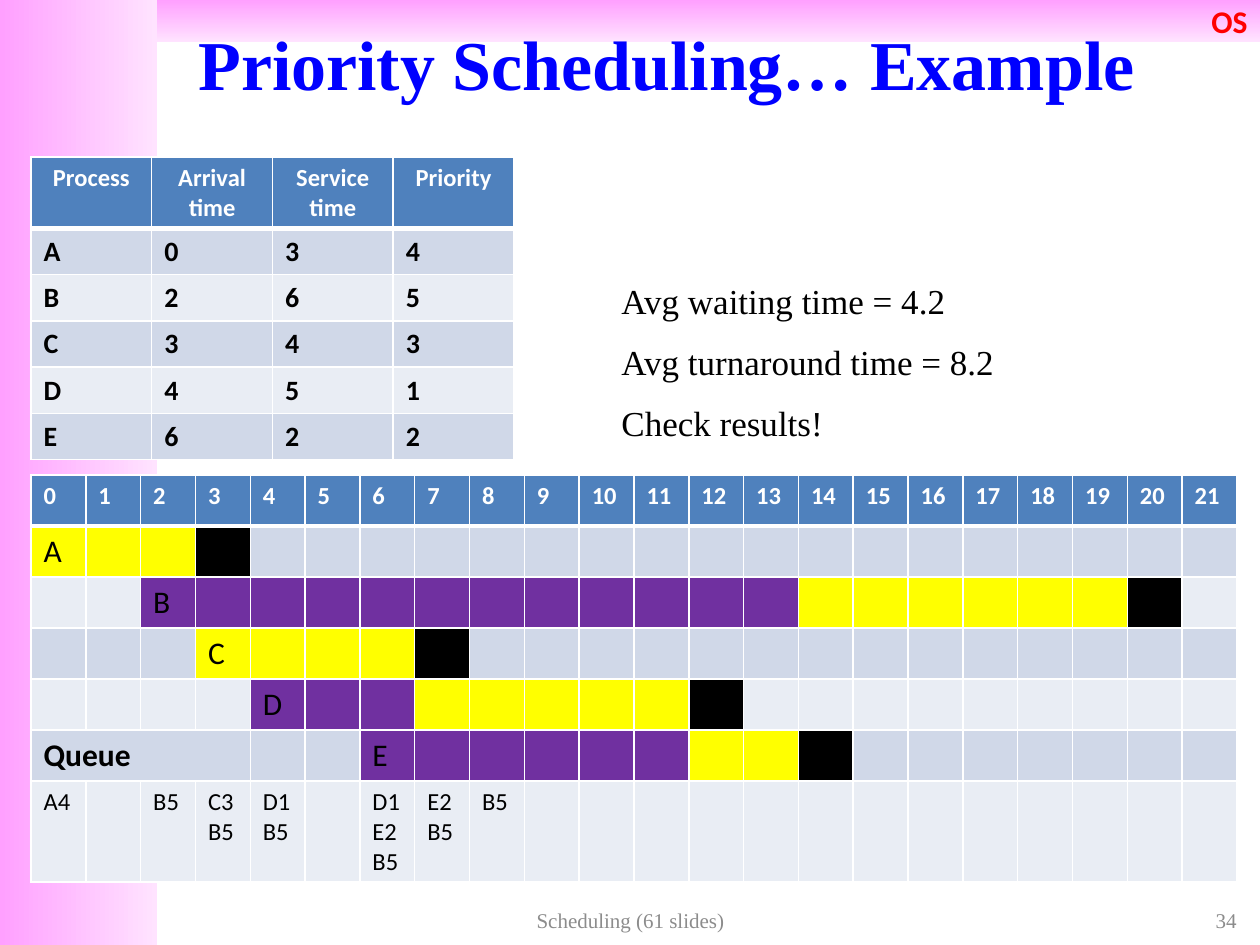
from dataclasses import dataclass

from lxml.etree import SubElement
from pptx import Presentation
from pptx.dml.color import RGBColor
from pptx.enum.shapes import MSO_SHAPE
from pptx.enum.text import MSO_ANCHOR, PP_ALIGN
from pptx.oxml.ns import qn
from pptx.util import Emu, Pt

EMU_PER_PX = 914400 / 126

BLACK = RGBColor(0x00, 0x00, 0x00)
WHITE = RGBColor(0xFF, 0xFF, 0xFF)
RED = RGBColor(0xFF, 0x00, 0x00)
TITLE_BLUE = RGBColor(0x00, 0x00, 0xFF)
FOOTER_GRAY = RGBColor(0x8C, 0x8C, 0x8C)
HEADER_BLUE = RGBColor(0x4F, 0x81, 0xBD)
BAND_DARK = RGBColor(0xD0, 0xD8, 0xE8)
BAND_LIGHT = RGBColor(0xE9, 0xED, 0xF4)
RUNNING_YELLOW = RGBColor(0xFF, 0xFF, 0x00)
WAITING_PURPLE = RGBColor(0x70, 0x30, 0xA0)
PINK = RGBColor(0xFF, 0xA0, 0xFF)
PALE_PINK = RGBColor(0xFF, 0xE3, 0xFF)

SERIF, SANS = "Times New Roman", "Calibri"


@dataclass
class Box:
    left: int
    top: int
    width: int
    height: int


@dataclass
class Process:
    name: str
    arrival: int
    service: int
    priority: int
    waiting: int


PROCESSES = [
    Process("A", 0, 3, 4, 0),
    Process("B", 2, 6, 5, 12),
    Process("C", 3, 4, 3, 0),
    Process("D", 4, 5, 1, 3),
    Process("E", 6, 2, 2, 6),
]
QUEUE = {0: "A4", 2: "B5", 3: "C3\nB5", 4: "D1\nB5", 6: "D1\nE2\nB5", 7: "E2\nB5", 8: "B5"}
TIME_SLOTS = 22

# Text formats
TITLE_FORMAT = {"name": SERIF, "size": Pt(40), "bold": True}
NOTE_FORMAT = {"name": SERIF, "size": Pt(20)}
FOOTER_FORMAT = {"name": SERIF, "size": Pt(12)}
COURSE_FORMAT = {"name": SANS, "size": Pt(18), "bold": True}
HEADER_FORMAT = {"name": SANS, "size": Pt(14), "bold": True}
VALUE_FORMAT = {"name": SANS, "size": Pt(16), "bold": True}
LABEL_FORMAT = {"name": SANS, "size": Pt(18), "bold": False}
QUEUE_FORMAT = {"name": SANS, "size": Pt(14), "bold": False}


def px(length: int) -> Emu:
    return Emu(round(length * EMU_PER_PX))


def place(box: Box) -> tuple:
    return px(box.left), px(box.top), px(box.width), px(box.height)


def write(frame, text: str, font_format: dict, color: RGBColor,
          alignment=PP_ALIGN.LEFT, gap: int = 0) -> None:
    """Write one paragraph per line of text."""
    for index, line in enumerate(text.split("\n")):
        paragraph = frame.add_paragraph() if index else frame.paragraphs[0]
        paragraph.alignment = alignment
        if index and gap:
            paragraph.space_before = Pt(gap)
        run = paragraph.add_run()
        run.text = line
        for attribute, value in font_format.items():
            setattr(run.font, attribute, value)
        run.font.color.rgb = color


def add_text(slide, box: Box, text: str, font_format: dict, color: RGBColor,
             alignment=PP_ALIGN.LEFT, anchor=MSO_ANCHOR.MIDDLE, gap: int = 0) -> None:
    frame = slide.shapes.add_textbox(*place(box)).text_frame
    frame.word_wrap = True
    frame.vertical_anchor = anchor
    write(frame, text, font_format, color, alignment, gap)


def add_gradient_band(slide, box: Box, angle: int):
    shape = slide.shapes.add_shape(MSO_SHAPE.RECTANGLE, *place(box))
    shape.shadow.inherit = False
    shape.line.fill.background()
    shape.fill.gradient()
    shape.fill.gradient_angle = angle
    for stop, color in zip(shape.fill.gradient_stops, (PINK, PALE_PINK)):
        stop.color.rgb = color
    return shape


def set_borders(cell, row: int) -> None:
    """White lines, with a thicker one under the header row."""
    properties = cell._tc.get_or_add_tcPr()
    widths = {"L": 1, "R": 1, "T": 3 if row == 1 else 1, "B": 3 if row == 0 else 1}
    for side, width in widths.items():
        line = SubElement(properties, qn(f"a:ln{side}"), w=str(Pt(width)))
        fill = SubElement(line, qn("a:solidFill"))
        SubElement(fill, qn("a:srgbClr"), val=str(WHITE))


def paint(cell, color: RGBColor) -> None:
    cell.fill.solid()
    cell.fill.fore_color.rgb = color


def add_banded_table(slide, box: Box, row_heights: list[int], columns: int):
    table = slide.shapes.add_table(len(row_heights), columns, *place(box)).table
    for row, height in enumerate(row_heights):
        table.rows[row].height = px(height)
        band = HEADER_BLUE if row == 0 else BAND_DARK if row % 2 else BAND_LIGHT
        for cell in table.rows[row].cells:
            set_borders(cell, row)
            paint(cell, band)
    return table


def add_process_table(slide) -> None:
    headings = ["Process", "Arrival time", "Service time", "Priority"]
    heights = [71] + [46] * len(PROCESSES)
    table = add_banded_table(slide, Box(31, 157, 483, sum(heights)), heights, len(headings))
    for column, heading in enumerate(headings):
        write(table.cell(0, column).text_frame, heading, HEADER_FORMAT, WHITE, PP_ALIGN.CENTER)
    for row, process in enumerate(PROCESSES, start=1):
        values = (process.name, process.arrival, process.service, process.priority)
        for column, value in enumerate(values):
            write(table.cell(row, column).text_frame, str(value), VALUE_FORMAT, BLACK)


def add_timeline(slide) -> None:
    heights = [51] * (len(PROCESSES) + 1) + [101]
    table = add_banded_table(slide, Box(31, 475, 1207, sum(heights)), heights, TIME_SLOTS)
    for slot in range(TIME_SLOTS):
        write(table.cell(0, slot).text_frame, str(slot), HEADER_FORMAT, WHITE)

    # Waiting, running and finished slots of each process
    for row, process in enumerate(PROCESSES, start=1):
        states = ([WAITING_PURPLE] * process.waiting
                  + [RUNNING_YELLOW] * process.service + [BLACK])
        for slot, color in enumerate(states, start=process.arrival):
            paint(table.cell(row, slot), color)
        write(table.cell(row, process.arrival).text_frame, process.name, LABEL_FORMAT, BLACK)

    # Ready queue
    queue_row = len(PROCESSES) + 1
    queue_label = table.cell(queue_row - 1, 0)
    queue_label.merge(table.cell(queue_row - 1, 3))
    write(queue_label.text_frame, "Queue", COURSE_FORMAT, BLACK)
    for slot, waiting in QUEUE.items():
        write(table.cell(queue_row, slot).text_frame, waiting, QUEUE_FORMAT, BLACK)


def main() -> None:
    presentation = Presentation()
    presentation.slide_width, presentation.slide_height = px(1260), px(945)
    slide = presentation.slides.add_slide(presentation.slide_layouts[5])

    # Background bands
    add_gradient_band(slide, Box(0, 0, 157, 945), 0)
    top_band = add_gradient_band(slide, Box(157, 0, 1103, 42), 270)
    top_band.text_frame.vertical_anchor = MSO_ANCHOR.MIDDLE
    write(top_band.text_frame, "OS", COURSE_FORMAT, RED, PP_ALIGN.RIGHT)

    # Title, brought in front of the bands
    title = slide.shapes.title
    title.element.getparent().append(title.element)
    title.left, title.top, title.width, title.height = place(Box(136, 0, 1061, 126))
    title.text_frame.vertical_anchor = MSO_ANCHOR.MIDDLE
    write(title.text_frame, "Priority Scheduling… Example", TITLE_FORMAT, TITLE_BLUE,
          PP_ALIGN.CENTER)

    # Results and tables
    add_text(slide, Box(609, 273, 410, 183),
             "Avg waiting time = 4.2\nAvg turnaround time = 8.2\nCheck results!",
             NOTE_FORMAT, BLACK, anchor=MSO_ANCHOR.TOP, gap=11)
    add_process_table(slide)
    add_timeline(slide)

    # Footer
    add_text(slide, Box(955, 903, 294, 34), "34", FOOTER_FORMAT, FOOTER_GRAY, PP_ALIGN.RIGHT)
    add_text(slide, Box(431, 903, 399, 34), "Scheduling (61 slides)", FOOTER_FORMAT,
             FOOTER_GRAY, PP_ALIGN.CENTER)
    presentation.save("out.pptx")


if __name__ == "__main__":
    main()
